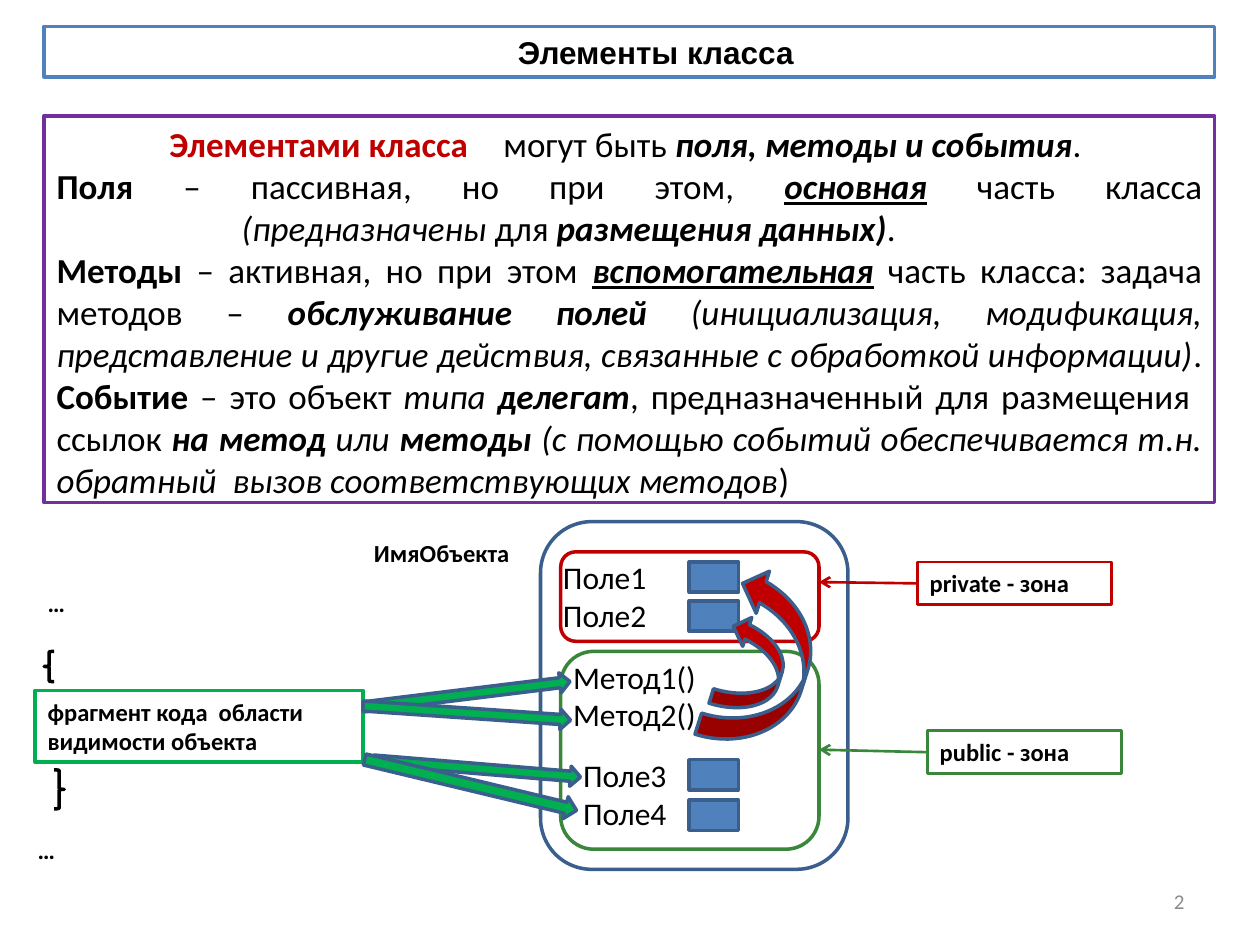
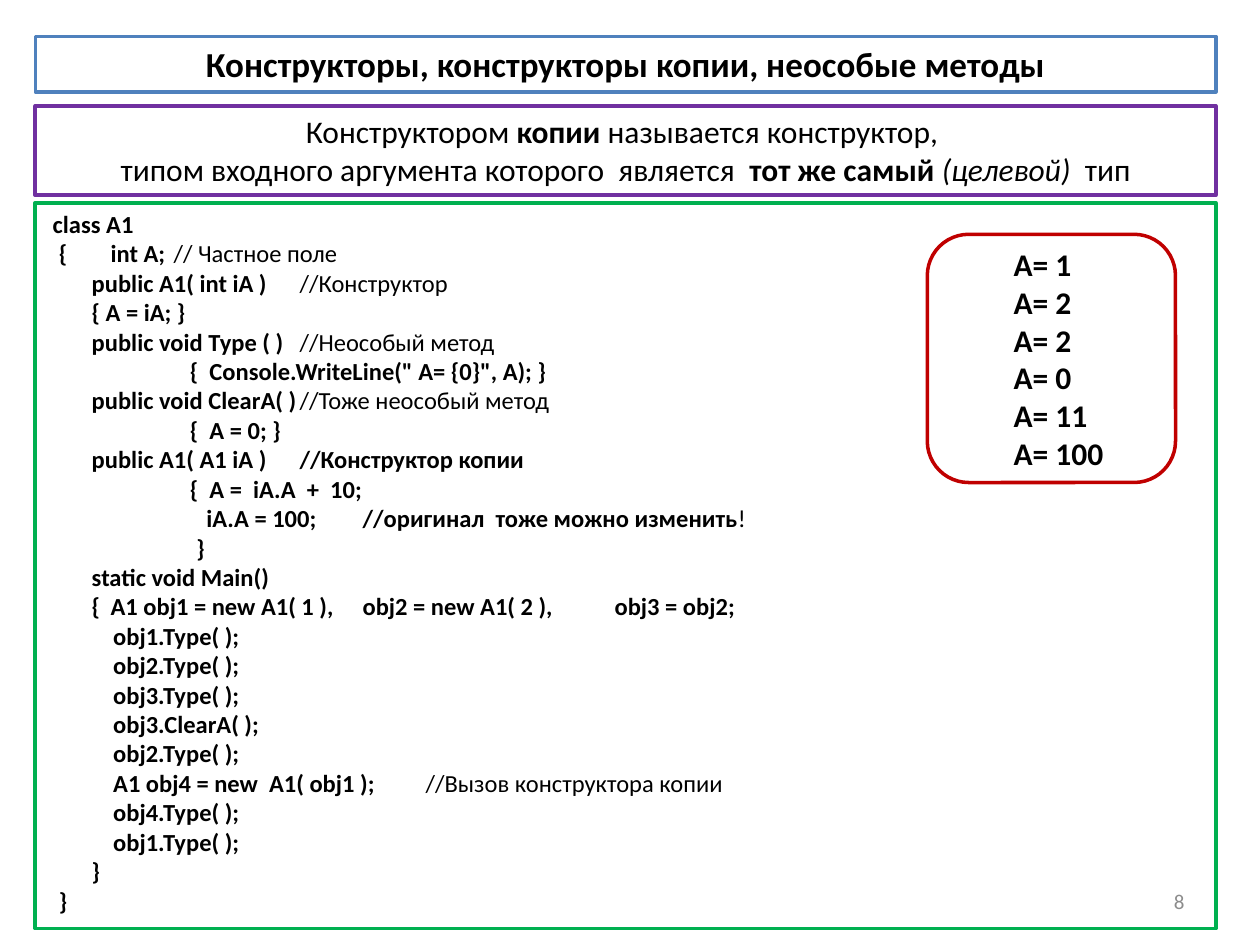
"""Build two slides on class elements and copy constructors."""
from lxml import etree
from pptx import Presentation
from pptx.dml.color import RGBColor
from pptx.enum.shapes import MSO_CONNECTOR, MSO_SHAPE as SHAPE
from pptx.enum.text import MSO_ANCHOR as ANCHOR, MSO_AUTO_SIZE, PP_ALIGN as ALIGN
from pptx.oxml.ns import qn
from pptx.util import Inches, Pt

BLACK = RGBColor(0x00, 0x00, 0x00)
WHITE = RGBColor(0xFF, 0xFF, 0xFF)
GREY = RGBColor(0x8C, 0x8C, 0x8C)
BLUE = RGBColor(0x4F, 0x81, 0xBD)
DARK_BLUE = RGBColor(0x3A, 0x5F, 0x8C)
PURPLE = RGBColor(0x70, 0x30, 0xA0)
RED = RGBColor(0xC0, 0x00, 0x00)
GREEN = RGBColor(0x00, 0xB0, 0x50)
DARK_GREEN = RGBColor(0x3A, 0x86, 0x3A)
STYLES = {"b": "bold", "i": "italic", "u": "underline"}


def add_box(slide, kind, bounds, line, fill=None, width=2, rotation=0):
    box = slide.shapes.add_shape(kind, *map(Inches, bounds))
    box.shadow.inherit = False
    box.rotation = rotation
    box.line.color.rgb = line
    box.line.width = Pt(width)
    if fill is None:
        box.fill.background()
    else:
        box.fill.solid()
        box.fill.fore_color.rgb = fill
    return box


def write(box, paragraphs, size, align=ALIGN.LEFT, anchor=ANCHOR.TOP,
          font="Calibri", color=BLACK, layouts=None):
    frame = box.text_frame
    settings = {"word_wrap": True, "auto_size": MSO_AUTO_SIZE.NONE,
                "vertical_anchor": anchor,
                "margin_left": Inches(0.1), "margin_right": Inches(0.1),
                "margin_top": Inches(0.05), "margin_bottom": Inches(0.05)}
    for name, value in settings.items():
        setattr(frame, name, value)
    for index, runs in enumerate(paragraphs):
        para = frame.add_paragraph() if index else frame.paragraphs[0]
        para.alignment = align
        left, first, stops = (layouts or {}).get(index, (0, 0, ()))
        properties = para._p.get_or_add_pPr()
        properties.set("marL", str(Inches(left)))
        properties.set("indent", str(Inches(first)))
        if stops:
            tabs = etree.SubElement(properties, qn("a:tabLst"))
            for stop in stops:
                etree.SubElement(tabs, qn("a:tab"), pos=str(Inches(stop)), algn="l")
        for text, flags in runs:
            if text == "\n":
                para.add_line_break()
                continue
            span = para.add_run()
            span.text = text
            span.font.name = font
            span.font.size = Pt(size)
            span.font.color.rgb = color
            for flag, name in STYLES.items():
                setattr(span.font, name, flag in flags)
    return frame


deck = Presentation()
deck.slide_width, deck.slide_height = Inches(10), Inches(7.5)

pages = []
for title, bounds, size, font, first, number in [
    ("Элементы класса ", (0.35, 0.21, 9.29, 0.4), 18, "Arial", 0.49, "2"),
    ("Конструкторы, конструкторы копии, неособые методы",
     (0.28, 0.29, 9.37, 0.44), 20, "Calibri", 0, "8"),
]:
    page = deck.slides.add_slide(deck.slide_layouts[5])
    heading = page.shapes.title
    for name, value in zip(("left", "top", "width", "height"), bounds):
        setattr(heading, name, Inches(value))
    heading.line.color.rgb = BLUE
    heading.line.width = Pt(2)
    write(heading, [[(title, "b")]], size, ALIGN.CENTER, font=font,
          layouts={0: (0, first, ())})
    number_box = page.shapes.add_textbox(*map(Inches, (7.17, 6.95, 2.33, 0.4)))
    write(number_box, [[(number, "")]], 12, ALIGN.RIGHT, ANCHOR.MIDDLE, color=GREY)
    pages.append(page)
elements, constructors = pages

definitions = [
    [("Элементами класса\u2003", "b"), ("могут быть ", ""),
     ("поля, методы и события", "bi"), (". ", "")],
    [("Поля", "b"), (" – пассивная, но при этом, ", ""), ("основная", "biu"),
     (" часть класса", ""), ("\n", ""), ("(предназначены ", "i"), ("для ", ""),
     ("размещения данных)", "bi"), (". ", "")],
    [("Методы", "b"), (" – активная, но при этом ", ""),
     ("вспомогательная", "biu"), (" часть класса: задача методов – ", ""),
     ("обслуживание полей ", "bi"),
     ("(инициализация, модификация, представление и другие действия, "
      "связанные с обработкой информации)", "i"), (". ", "")],
    [("Событие", "b"), (" – это объект ", ""), ("типа ", "i"), ("делегат", "bi"),
     (", предназначенный для размещения  ссылок ", ""), ("на метод ", "bi"),
     ("или", "i"), (" методы ", "bi"),
     ("(с помощью событий обеспечивается т.н. обратный  вызов "
      "соответствующих методов", "i"), (")", "")],
]
summary = add_box(elements, SHAPE.RECTANGLE, (0.35, 0.92, 9.29, 3.07), PURPLE)
frame = write(summary, definitions, 20, ALIGN.JUSTIFY, ANCHOR.MIDDLE,
              layouts={1: (1.47, -1.47, ())})
frame.margin_top, frame.margin_bottom = Inches(0.04), 0
frame.paragraphs[0].alignment = ALIGN.CENTER
frame.paragraphs[0].runs[0].font.color.rgb = RED

add_box(elements, SHAPE.ROUNDED_RECTANGLE, (4.29, 4.14, 2.44, 2.76), DARK_BLUE, WHITE)
add_box(elements, SHAPE.LEFT_BRACE, (0.35, 5.17, 0.08, 0.24), BLACK)
add_box(elements, SHAPE.RIGHT_BRACE, (0.43, 6.11, 0.08, 0.31), BLACK)
fragment = add_box(elements, SHAPE.RECTANGLE, (0.28, 5.48, 2.6, 0.57), GREEN)
write(fragment, [[("фрагмент кода  области видимости объекта ", "b")]], 14)

for text, left, top in [("ИмяОбъекта ", 2.87, 4.22), ("…", 0.28, 4.62), ("…", 0.2, 6.58)]:
    label = elements.shapes.add_textbox(*map(Inches, (left, top, 1.54, 0.34)))
    write(label, [[(text, "b")]], 14)

for members, left, top in [
    (("Поле1", "Поле2 "), 4.37, 4.38),
    (("Метод1()", "Метод2()"), 4.45, 5.17),
    (("Поле3", "Поле4 "), 4.53, 5.95),
]:
    member_box = elements.shapes.add_textbox(*map(Inches, (left, top, 1.97, 0.71)))
    write(member_box, [[(member, "")] for member in members], 18)

for name, color, zone_top, zone_height, left, top, target in [
    ("private - зона ", RED, 4.38, 0.71, 7.28, 4.46, 4.62),
    ("public - зона ", DARK_GREEN, 5.17, 1.57, 7.36, 5.8, 5.95),
]:
    add_box(elements, SHAPE.ROUNDED_RECTANGLE, (4.45, zone_top, 2.05, zone_height), color)
    zone_label = add_box(elements, SHAPE.RECTANGLE, (left, top, 1.54, 0.34), color, width=1.5)
    write(zone_label, [[(name, "b")]], 14)
    pointer = elements.shapes.add_connector(
        MSO_CONNECTOR.STRAIGHT, *map(Inches, (left, top + 0.17, 6.5, target)))
    pointer.line.color.rgb = color
    pointer.line.width = Pt(1.5)
    etree.SubElement(pointer.line._get_or_add_ln(), qn("a:tailEnd"), type="arrow")
    etree.SubElement(pointer._element.spPr, qn("a:effectLst"))

for top in (4.46, 4.77, 6.03, 6.35):
    add_box(elements, SHAPE.RECTANGLE, (5.47, top, 0.39, 0.24), DARK_BLUE, BLUE)

for bounds, rotation in [
    ((2.96, 6.02, 1.65, 0.16), 4.7),
    ((2.87, 6.14, 1.73, 0.18), 13.5),
    ((2.88, 5.43, 1.65, 0.16), 353),
    ((2.88, 5.58, 1.65, 0.16), 3.9),
]:
    add_box(elements, SHAPE.RIGHT_ARROW, bounds, DARK_BLUE, GREEN, rotation=rotation)
for bounds in [(5.59, 5.05, 0.76, 0.48), (5.35, 4.9, 1.43, 0.7)]:
    add_box(elements, SHAPE.CURVED_UP_ARROW, bounds, DARK_BLUE, RED, rotation=287.5)

rule = add_box(constructors, SHAPE.RECTANGLE, (0.28, 0.84, 9.37, 0.71), PURPLE)
write(rule, [
    [("Конструктором ", ""), ("копии", "b"), (" называется конструктор, ", "")],
    [("типом входного аргумента которого  является  ", ""),
     ("тот же самый ", "b"), ("(целевой)  ", "i"), ("тип", "")],
], 18, ALIGN.CENTER)

MEMBER, BODY, CALL, COMMENT = 0.35, 1.13, 0.52, 4
code = [
    (0.04, (), [("class A1", "b")]),
    (0.09, (0.29, COMMENT), [("{\tint A;\t", "b"), ("// Частное поле ", "")]),
    (MEMBER, (COMMENT,), [("public A1( int iA )\t", "b"), ("//Конструктор", "")]),
    (MEMBER, (), [("{ A = iA; }", "b")]),
    (MEMBER, (COMMENT + 1,), [("public void Type ( )\t", "b"), ("//Неособый метод", "")]),
    (BODY, (), [('{  Console.WriteLine(" A= {0}", A); }', "b")]),
    (MEMBER, (COMMENT,), [("public void ClearA( )\t", "b"),
                          ("//Тоже неособый метод", "")]),
    (BODY, (), [("{  A = 0; }", "b")]),
    (MEMBER, (COMMENT,), [("public A1( A1 iA )\t//Конструктор копии", "b")]),
    (BODY, (), [("{  A =  iA.A  +  10;", "b")]),
    (1.26, (COMMENT,), [("iA.A = 100;\t//оригинал  тоже можно изменить", "b"), ("!", "")]),
    (1.18, (), [("}", "b")]),
    (MEMBER, (), [("static void Main()", "b")]),
    (MEMBER, (0.55, 2.45, 4.14),
     [("{\tA1 obj1 = new A1( 1 ),\tobj2 = new A1( 2 ),\tobj3 = obj2;", "b")]),
]
for call in ("obj1.Type", "obj2.Type", "obj3.Type", "obj3.ClearA", "obj2.Type"):
    code.append((CALL, (), [(f"{call}( );", "b")]))
code.append((CALL, (COMMENT,), [("A1 obj4 = new  A1( obj1 );\t", "b"),
                                ("//Вызов конструктора копии", "")]))
for call in ("obj4.Type", "obj1.Type"):
    code.append((CALL, (), [(f"{call}( );", "b")]))
for first in (MEMBER, 0.09):
    code.append((first, (), [("}", "b")]))

listing = add_box(constructors, SHAPE.RECTANGLE, (0.28, 1.61, 9.37, 5.76), GREEN)
write(listing, [runs for _, _, runs in code], 14,
      layouts={index: (0, first, stops) for index, (first, stops, _) in enumerate(code)})

values = (1, 2, 2, 0, 11, 100)
output = add_box(constructors, SHAPE.ROUNDED_RECTANGLE, (7.36, 1.86, 1.97, 1.97), RED)
write(output, [[(f"A= {value}", "b")] for value in values], 18, anchor=ANCHOR.MIDDLE,
      layouts={index: (0, 0.49, ()) for index in range(len(values))})

deck.save("out.pptx")
